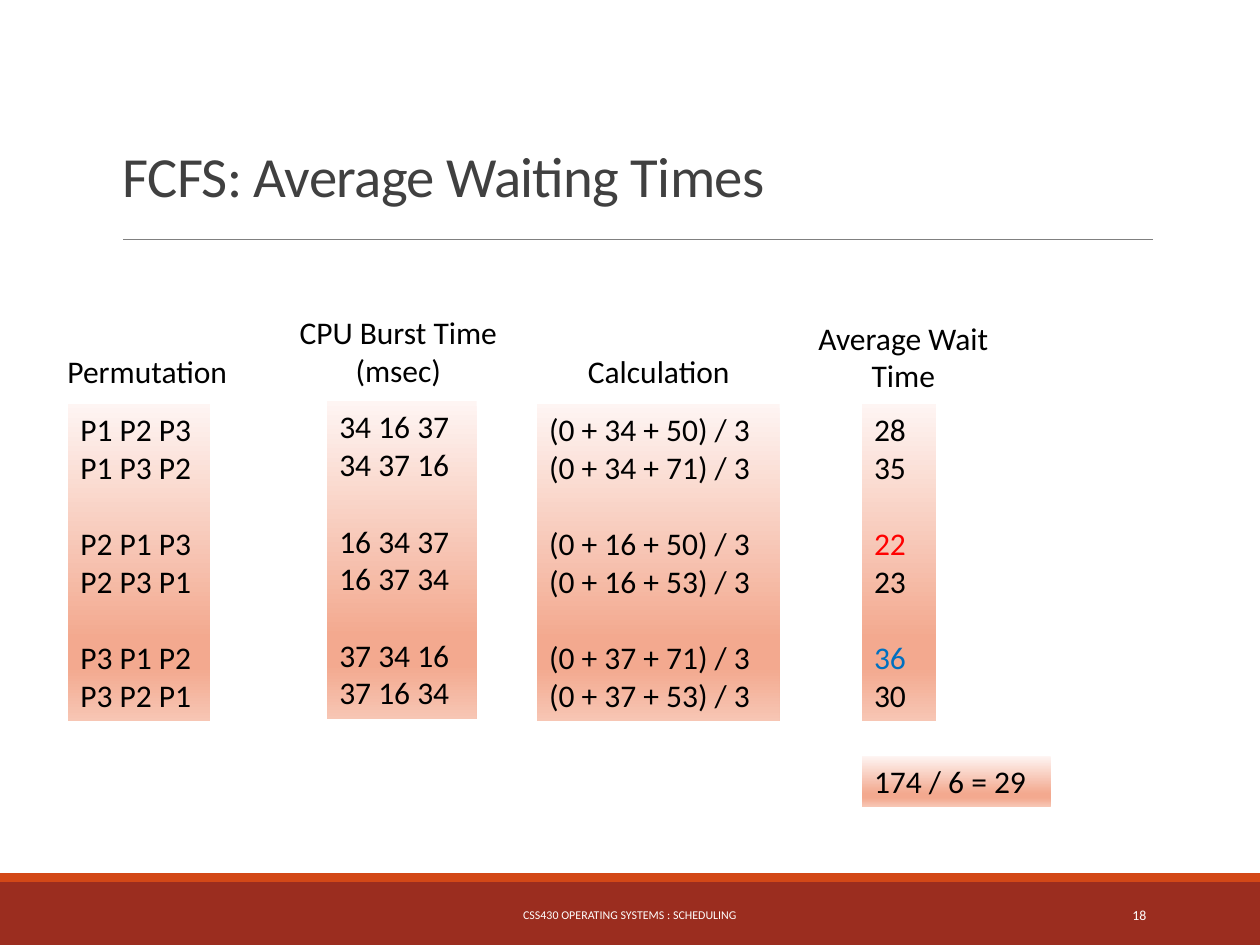
from copy import deepcopy
from dataclasses import dataclass

from pptx import Presentation
from pptx.dml.color import RGBColor
from pptx.enum.shapes import MSO_CONNECTOR, MSO_SHAPE
from pptx.enum.text import MSO_ANCHOR as Anchor, PP_ALIGN as Align
from pptx.oxml.ns import qn
from pptx.oxml.xmlchemy import OxmlElement as Node
from pptx.util import Cm, Pt


@dataclass(frozen=True)
class Theme:
    font: str = "Calibri"
    title: float = 32.4
    body: float = 18
    foot: float = 6.8
    page: float = 7.9
    gap: float = 22
    ink: str = "000000"
    gray: str = "404040"
    rule: str = "808080"
    white: str = "FFFFFF"
    band: str = "9B2D1F"
    strip: str = "D34817"
    best: str = "FF0000"
    worst: str = "0070C0"
    fade: tuple = ((0, "FEF5F3"), (0.74, "F3A98F"), (0.83, "F3A98F"), (1, "F7C6B4"))


T = Theme()
MARKS = {"22": T.best, "36": T.worst}

# Heading, its centre and bottom; box left, top and width (cm); groups of rows
COLUMNS = [
    (["Permutation"], 2.97, 8, 1.37, 8.14, 2.87,
     [["P1 P2 P3", "P1 P3 P2"], ["P2 P1 P3", "P2 P3 P1"], ["P3 P1 P2", "P3 P2 P1"]]),
    (["CPU Burst Time", "(msec)"], 8.03, 7.98, 6.59, 8.09, 3.02,
     [["34 16 37", "34 37 16"], ["16 34 37", "16 37 34"], ["37 34 16", "37 16 34"]]),
    (["Calculation"], 13.28, 8, 10.82, 8.14, 4.9,
     [["(0 + 34 + 50) / 3", "(0 + 34 + 71) / 3"],
      ["(0 + 16 + 50) / 3", "(0 + 16 + 53) / 3"],
      ["(0 + 37 + 71) / 3", "(0 + 37 + 53) / 3"]]),
    (["Average Wait", "Time"], 18.21, 8.1, 17.37, 8.14, 1.5,
     [["28", "35"], ["22", "23"], ["36", "30"]]),
]


def rgb(code):
    return RGBColor.from_string(code)


def write(shape, groups, size=T.body, color=T.ink, align=Align.LEFT,
          anchor=Anchor.TOP, wrap=True, lead=None, track=None):
    """Put each line in a paragraph, with a gap before every later group."""
    frame = shape.text_frame
    frame.word_wrap = wrap
    frame.vertical_anchor = anchor
    para = None
    for group in groups:
        for row, line in enumerate(group):
            first = para is None
            para = frame.paragraphs[0] if first else frame.add_paragraph()
            para.alignment = align
            if lead:
                para.line_spacing = lead
            if row == 0 and not first:
                para.space_before = Pt(T.gap)
            run = para.add_run()
            run.text = line
            run.font.name = T.font
            run.font.size = Pt(size)
            run.font.color.rgb = rgb(MARKS.get(line, color))
            if track:
                run.font._element.set("spc", str(track))


def label(slide, x, y, w, h, *lines, **style):
    box = slide.shapes.add_textbox(Cm(x), Cm(y), Cm(w), Cm(h))
    write(box, [lines], **style)


def rect(slide, x, y, w, h):
    shape = slide.shapes.add_shape(MSO_SHAPE.RECTANGLE, Cm(x), Cm(y), Cm(w), Cm(h))
    shape.shadow.inherit = False
    shape.line.fill.background()
    return shape


def bar(slide, y, h, color):
    shape = rect(slide, 0, y, 25.4, h)
    shape.fill.solid()
    shape.fill.fore_color.rgb = rgb(color)


def panel(slide, x, y, w, h, groups):
    shape = rect(slide, x, y, w, h)
    fill = shape.fill
    fill.gradient()
    fill.gradient_angle = 270
    stops = shape._element.spPr.find(".//" + qn("a:gsLst"))
    while len(stops) < len(T.fade):
        stops.append(deepcopy(stops[0]))
    for stop, (place, color) in zip(fill.gradient_stops, T.fade):
        stop.position = place
        stop.color.rgb = rgb(color)
    write(shape, groups)


def rule(slide, x, y, end):
    line = slide.shapes.add_connector(MSO_CONNECTOR.STRAIGHT, Cm(x), Cm(y), Cm(end), Cm(y))
    line.line.color.rgb = rgb(T.rule)
    line.line.width = Pt(0.5)
    line._element.spPr.append(Node("a:effectLst"))


def column(slide, head, mid, base, x, y, w, groups):
    high = 1.02 + 0.78 * (len(head) - 1)
    wide = 4.6
    label(slide, mid - wide / 2, base - high, wide, high, *head,
          align=Align.CENTER, wrap=False)
    panel(slide, x, y, w, 6.4, groups)


def main():
    deck = Presentation()
    deck.slide_width, deck.slide_height = Cm(25.4), Cm(19.05)
    slide = deck.slides.add_slide(deck.slide_layouts[6])
    bar(slide, 17.78, 1.27, T.band)
    bar(slide, 17.6, 0.18, T.strip)
    rule(slide, 2.48, 4.83, 23.24)
    label(slide, 2.23, 2.79, 20.96, 1.55, "FCFS: Average Waiting Times", size=T.title,
          color=T.gray, anchor=Anchor.BOTTOM, lead=0.85, track=-40)
    label(slide, 7.67, 17.93, 10.06, 1.02, "CSS430 OPERATING SYSTEMS : SCHEDULING",
          size=T.foot, color=T.white, align=Align.CENTER, anchor=Anchor.MIDDLE)
    label(slide, 20.62, 17.93, 2.74, 1.02, "18", size=T.page, color=T.white,
          align=Align.RIGHT, anchor=Anchor.MIDDLE)
    for item in COLUMNS:
        column(slide, *item)
    panel(slide, 17.37, 15.24, 3.81, 1.02, [["174 / 6 = 29"]])
    deck.save("out.pptx")


if __name__ == "__main__":
    main()
